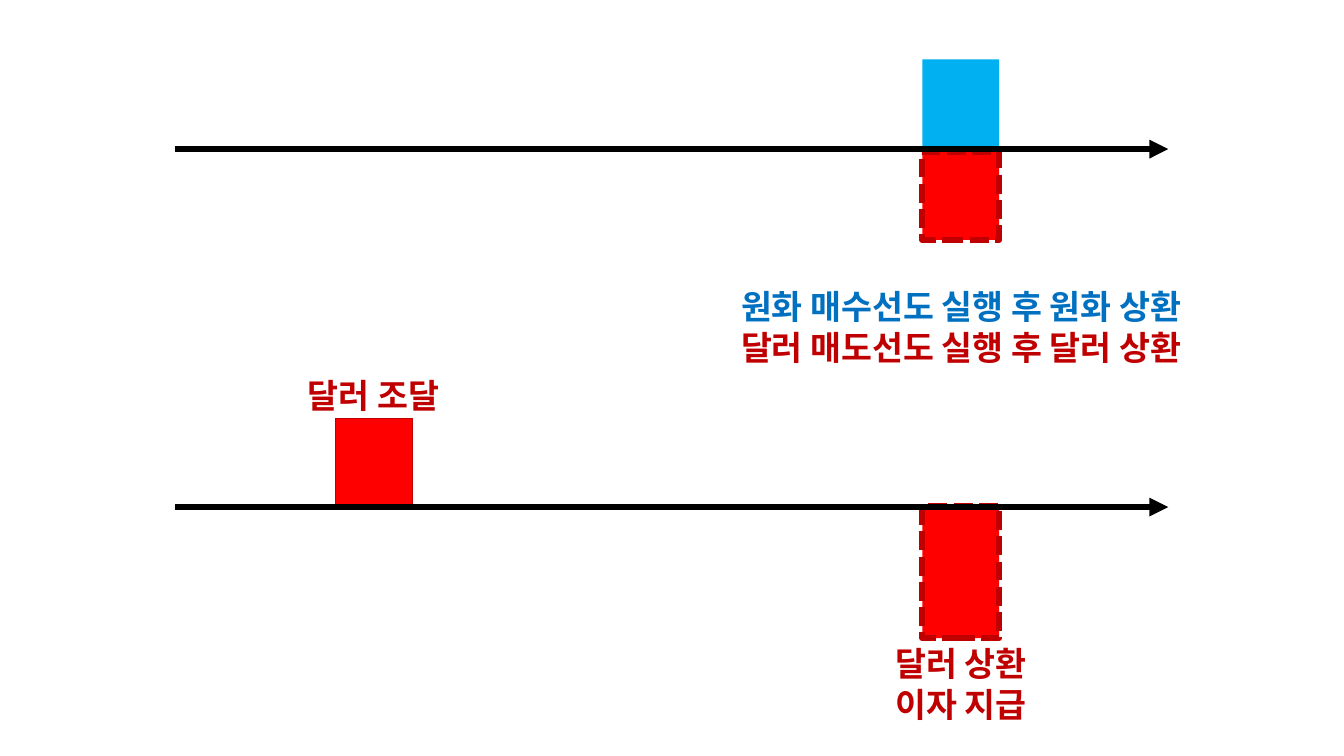
"""Build a slide with two cash-flow timelines for a currency forward and a dollar loan."""
from dataclasses import dataclass

from lxml.etree import SubElement
from pptx import Presentation
from pptx.dml.color import RGBColor
from pptx.enum.dml import MSO_LINE_DASH_STYLE as Dash
from pptx.enum.shapes import MSO_CONNECTOR as Conn, MSO_SHAPE as Shape
from pptx.enum.text import MSO_AUTO_SIZE as AutoSize, PP_ALIGN as Align
from pptx.oxml.ns import qn
from pptx.slide import Slide
from pptx.util import Pt

FONT = "Noto Sans CJK KR"
RED, DARK_RED, SKY, BLUE, BLACK = "FF0000", "C00000", "00B0F0", "0070C0", "000000"
AXIS_LEFT, AXIS_RIGHT = 125.3, 834.5
FORWARD_Y, LOAN_Y = 106.5, 362.2
BAR_WIDTH, START_X, END_X = 55, 239.6, 658.8


@dataclass
class Bar:
    x: float
    y: float
    height: float
    fill: str
    line_width: float = 0
    dashed: bool = False


@dataclass
class Label:
    x: float
    y: float
    width: float
    height: float
    lines: list[tuple[str, str]]


def rgb(value: str) -> RGBColor:
    return RGBColor.from_string(value)


def draw_bar(s: Slide, bar: Bar) -> None:
    sp = s.shapes.add_shape(Shape.RECTANGLE, Pt(bar.x), Pt(bar.y), Pt(BAR_WIDTH), Pt(bar.height))
    sp.shadow.inherit = False
    sp.fill.solid()
    sp.fill.fore_color.rgb = rgb(bar.fill)
    if not bar.line_width:
        sp.line.fill.background()
        return
    sp.line.color.rgb = rgb(DARK_RED)
    sp.line.width = Pt(bar.line_width)
    if bar.dashed:
        sp.line.dash_style = Dash.SQUARE_DOT


def draw_axis(s: Slide, y: float) -> None:
    axis = s.shapes.add_connector(Conn.STRAIGHT, Pt(AXIS_LEFT), Pt(y), Pt(AXIS_RIGHT), Pt(y))
    axis.line.color.rgb = rgb(BLACK)
    axis.line.width = Pt(4.5)
    SubElement(axis.line._get_or_add_ln(), qn("a:tailEnd"), type="triangle")
    SubElement(axis._element.spPr, qn("a:effectLst"))


def draw_label(s: Slide, label: Label) -> None:
    sp = s.shapes.add_textbox(Pt(label.x), Pt(label.y), Pt(label.width), Pt(label.height))
    tf = sp.text_frame
    tf.word_wrap = True
    tf.auto_size = AutoSize.SHAPE_TO_FIT_TEXT
    for i, (text, color) in enumerate(label.lines):
        p = tf.add_paragraph() if i else tf.paragraphs[0]
        p.text = text
        p.alignment = Align.CENTER
        p.line_spacing = Pt(28.8)
        p.font.size = Pt(24)
        p.font.bold = True
        p.font.color.rgb = rgb(color)
        p.font.name = FONT
        SubElement(p.font._element, qn("a:ea"), typeface=FONT)


def main() -> None:
    prs = Presentation()
    prs.slide_width, prs.slide_height = Pt(960), Pt(540)
    s = prs.slides.add_slide(prs.slide_layouts[6])

    forward_bars = [
        Bar(END_X, 108.2, 63.2, RED, 4.5, dashed=True),
        Bar(END_X, 42.5, 63.2, SKY),
    ]
    loan_bars = [
        Bar(END_X, 361.5, 94.3, RED, 4.5, dashed=True),
        Bar(START_X, 298.8, 63.2, RED, 1),
    ]
    for bars, axis_y in ((forward_bars, FORWARD_Y), (loan_bars, LOAN_Y)):
        for bar in bars:
            draw_bar(s, bar)
        draw_axis(s, axis_y)

    labels = [
        Label(498.2, 200.9, 376.6, 65.4, [
            ("원화 매수선도 실행 후 원화 상환", BLUE),
            ("달러 매도선도 실행 후 달러 상환", DARK_RED),
        ]),
        Label(195.8, 264.2, 141.8, 36.3, [("달러 조달", DARK_RED)]),
        Label(615.6, 455.8, 141.8, 65.4, [("달러 상환", DARK_RED), ("이자 지급", DARK_RED)]),
    ]
    for label in labels:
        draw_label(s, label)

    prs.save("out.pptx")


if __name__ == "__main__":
    main()
